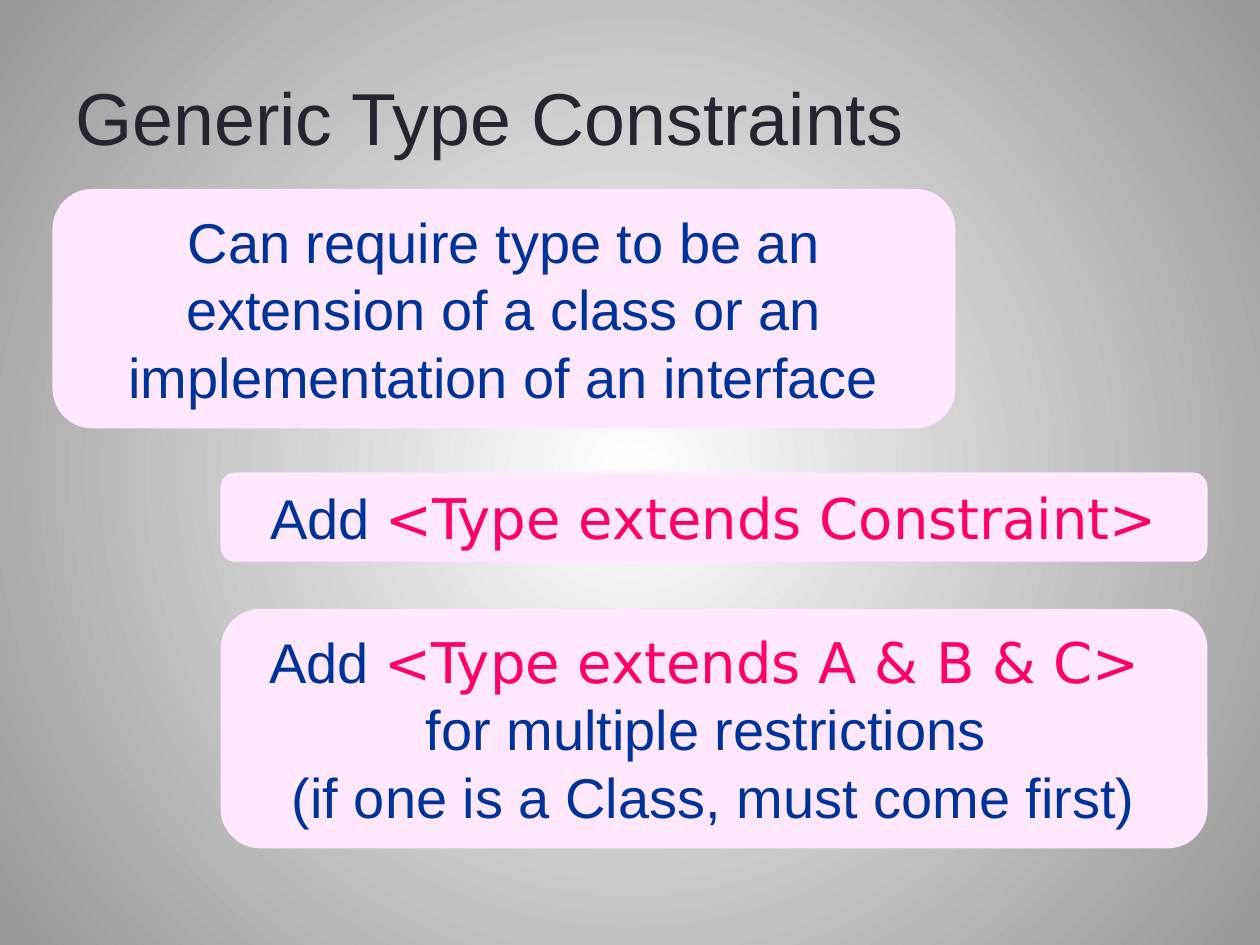
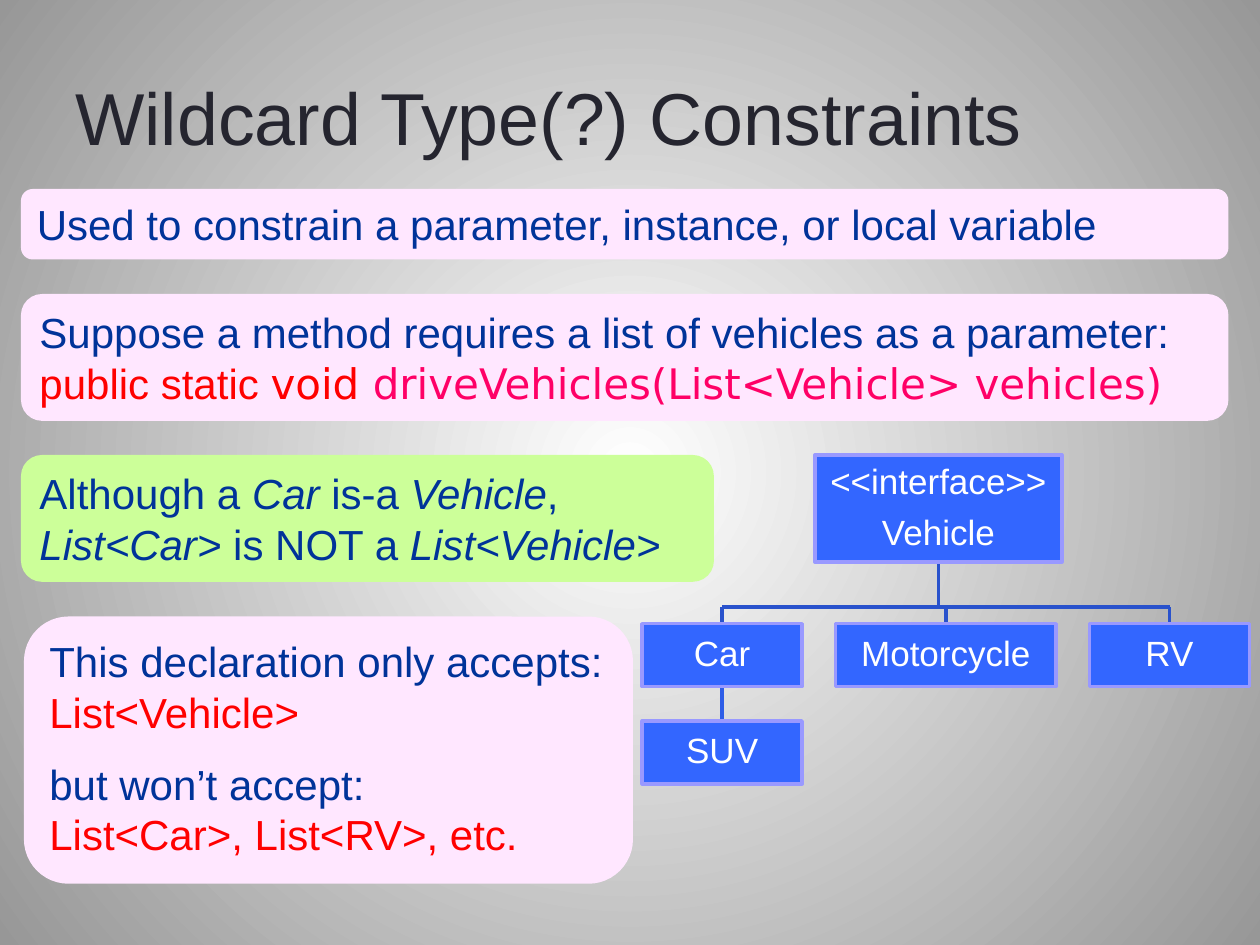
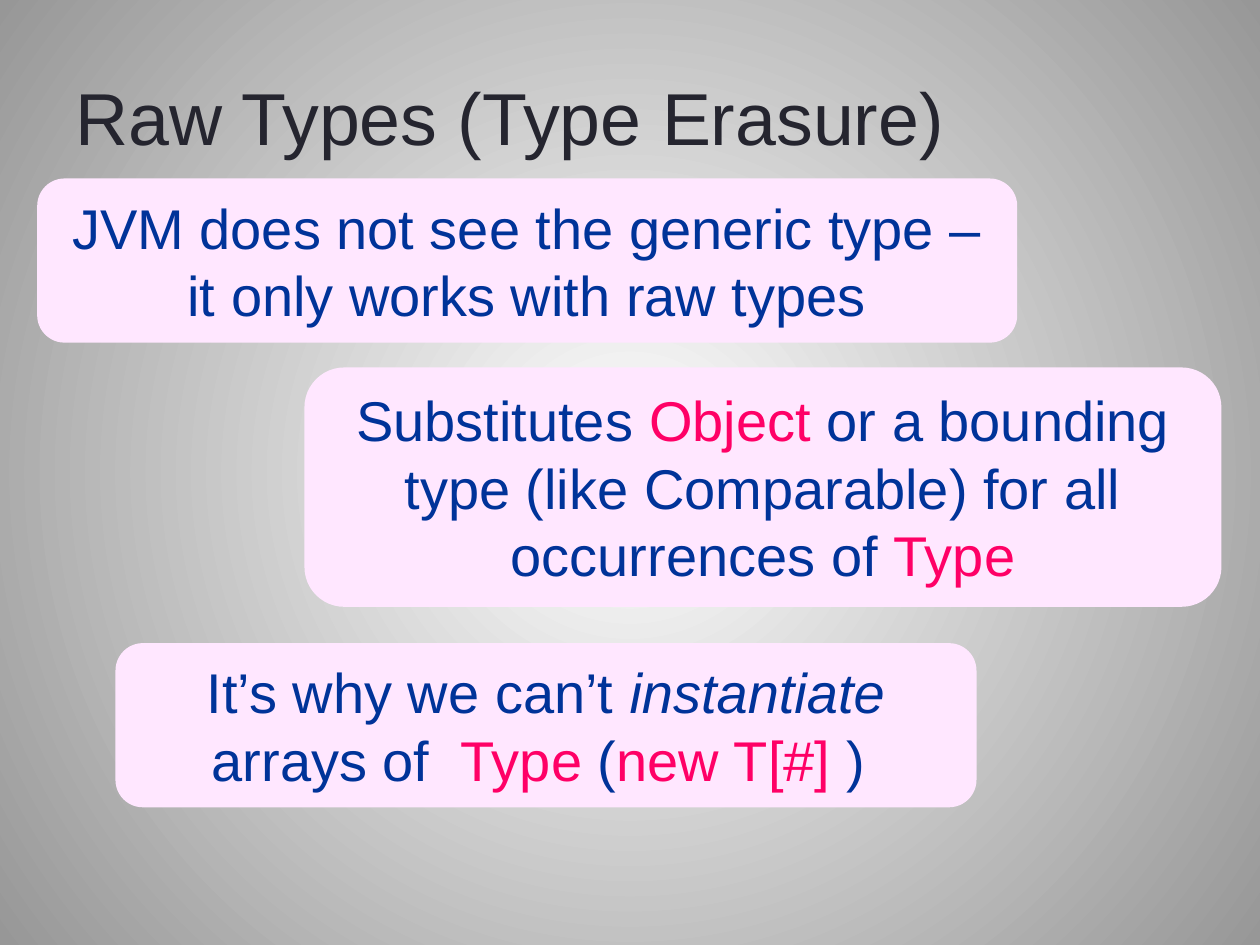
from dataclasses import dataclass
from typing import NamedTuple

from lxml.etree import SubElement
from pptx import Presentation
from pptx.dml.color import RGBColor
from pptx.enum.shapes import MSO_CONNECTOR, MSO_SHAPE
from pptx.enum.text import MSO_ANCHOR, PP_ALIGN
from pptx.oxml.ns import qn
from pptx.util import Pt


@dataclass(frozen=True)
class Theme:
    font: str = "Arial"
    code: str = "DejaVu Sans"
    title: str = "25252F"
    ink: str = "003399"
    pink: str = "FF0066"
    red: str = "FF0000"
    white: str = "FFFFFF"
    edge: str = "979797"
    card: str = "FFE7FF"
    green: str = "CCFF99"
    node: str = "3366FF"
    rim: str = "9999FF"
    link: str = "2952CC"
    stem: str = "2E5DE7"
    head: int = 42
    big: int = 32
    body: int = 24
    label: int = 20
    leading: float = 1.206


T = Theme()


class Box(NamedTuple):
    x: float
    y: float
    w: float
    h: float

    def points(self):
        return [Pt(v) for v in self]


class Bit(NamedTuple):
    text: str
    color: str = T.ink
    font: str = T.font
    italic: bool = False


def rgb(code):
    return RGBColor.from_string(code)


def add_bit(para, bit, size):
    """Add one run; a closing newline becomes a line break."""
    run = para.add_run()
    run.text = bit.text.rstrip("\n")
    font = run.font
    font.size, font.name, font.italic = Pt(size), bit.font, bit.italic
    font.color.rgb = rgb(bit.color)
    if bit.text.endswith("\n"):
        para.add_line_break()


def add_text(shape, paras, size, align, anchor, pads=(7.2, 3.6)):
    """Fill a shape with paragraphs, each a list of bits."""
    frame = shape.text_frame
    frame.word_wrap = True
    frame.vertical_anchor = anchor
    frame.margin_left = frame.margin_right = Pt(pads[0])
    frame.margin_top = frame.margin_bottom = Pt(pads[1])
    for i, bits in enumerate(paras):
        para = frame.add_paragraph() if i else frame.paragraphs[0]
        para.alignment = align
        for bit in bits:
            add_bit(para, bit, size)
    return frame.paragraphs


def add_block(slide, kind, box, fill):
    shape = slide.shapes.add_shape(kind, *box.points())
    shape.shadow.inherit = False
    shape.fill.solid()
    shape.fill.fore_color.rgb = rgb(fill)
    shape.line.fill.background()
    return shape


def add_card(slide, box, paras, size=T.big, align=PP_ALIGN.CENTER, fill=T.card, gap=0):
    shape = add_block(slide, MSO_SHAPE.ROUNDED_RECTANGLE, box, fill)
    lines = add_text(shape, paras, size, align, MSO_ANCHOR.TOP)
    for i, para in enumerate(lines):
        para.line_spacing = Pt(round(size * T.leading, 1))
        para.space_before = Pt(gap if i else 0)


def add_node(slide, box, *names):
    shape = add_block(slide, MSO_SHAPE.RECTANGLE, box, T.node)
    shape.line.color.rgb = rgb(T.rim)
    shape.line.width = Pt(2)
    paras = [[Bit(name, T.white)] for name in names]
    for para in add_text(shape, paras, T.label, PP_ALIGN.CENTER,
                         MSO_ANCHOR.MIDDLE, (0.72, 0.72)):
        para.line_spacing = 0.9
        para.space_after = Pt(8)


def add_link(slide, x1, y1, x2, y2, color=T.link):
    ends = [Pt(v) for v in (x1, y1, x2, y2)]
    line = slide.shapes.add_connector(MSO_CONNECTOR.STRAIGHT, *ends)
    line.line.color.rgb = rgb(color)
    line.line.width = Pt(2)
    SubElement(line._element.spPr, qn("a:effectLst"))


def add_tree(slide, box):
    """Draw the interface, its three classes and one subclass."""
    root = Box(box.x + 98.8, box.y, 141, 61.2)
    row, high, bus = box.y + 96.4, 36, box.y + 87
    names, widths = ("Car", "Motorcycle", "RV"), (91.4, 126, 91.4)
    gap = (box.w - sum(widths)) / 2
    kids, x = [], box.x
    for width in widths:
        kids.append(Box(x, row, width, high))
        x += width + gap
    mids = [kid.x + kid.w / 2 for kid in kids]
    leaf = Box(box.x, box.y + box.h - high, widths[0], high)

    stem = root.x + root.w / 2
    add_link(slide, stem, root.y + root.h, stem, bus)
    add_link(slide, mids[0], bus, mids[-1], bus)
    for mid in mids:
        add_link(slide, mid, bus, mid, row)
    add_link(slide, mids[0], row + high, mids[0], leaf.y, T.stem)

    add_node(slide, root, "<<interface>>", "Vehicle")
    for name, kid in zip(names, kids):
        add_node(slide, kid, name)
    add_node(slide, leaf, "SUV")


def paint_back(master):
    """Give every slide a round gradient, white in the middle."""
    fill = master.background.fill
    fill.gradient()
    for stop, color in zip(fill.gradient_stops, (T.white, T.edge)):
        stop.color.rgb = rgb(color)
    grad = master._element.find(".//" + qn("a:gradFill"))
    grad.remove(grad.find(qn("a:lin")))
    ring = SubElement(grad, qn("a:path"), path="circle")
    SubElement(ring, qn("a:fillToRect"), l="50000", t="50000", r="50000", b="50000")


def add_slide(deck, title):
    slide = deck.slides.add_slide(deck.slide_layouts[6])
    head = slide.shapes.add_textbox(*Box(36, 21.6, 648, 90).points())
    add_text(head, [[Bit(title, T.title)]], T.head, PP_ALIGN.LEFT, MSO_ANCHOR.MIDDLE)
    return slide


def show_generic(deck):
    slide = add_slide(deck, "Generic Type Constraints")
    add_card(slide, Box(30, 108, 516, 136.8), [[Bit(
        "Can require type to be an extension of a class or an "
        "implementation of an interface")]])
    add_card(slide, Box(126, 270, 564, 51), [
        [Bit("Add "), Bit("<Type extends Constraint>", T.pink, T.code)]])
    add_card(slide, Box(126, 348, 564, 136.8), [
        [Bit("Add "), Bit("<Type extends A & B & C> ", T.pink, T.code)],
        [Bit("for multiple restrictions ")],
        [Bit("(if one is a Class, must come first)")]])


def show_wild(deck):
    slide = add_slide(deck, "Wildcard Type(?) Constraints")

    def note(box, paras, **more):
        add_card(slide, box, paras, T.body, PP_ALIGN.LEFT, **more)

    note(Box(12, 108, 690, 40.3), [
        [Bit("Used to constrain a parameter, instance, or local variable")]])
    note(Box(12, 168, 690, 72.5), [[
        Bit("Suppose a method requires a list of vehicles as a parameter:\n"),
        Bit("public static ", T.red),
        Bit("void ", T.red, T.code),
        Bit("driveVehicles(List<Vehicle> vehicles)", T.pink, T.code)]])
    add_tree(slide, Box(367, 260, 347, 188))
    note(Box(13.7, 352.3, 348, 152.7), [
        [Bit("This declaration only accepts: "), Bit("List<Vehicle>", T.red)],
        [Bit("but won’t accept:\n"), Bit("List<Car>, List<RV>, etc.", T.red)]],
        gap=12)
    note(Box(12, 260, 396, 72.5), [
        [Bit("Although a "), Bit("Car", italic=True), Bit(" is-a "),
         Bit("Vehicle", italic=True), Bit(",")],
        [Bit("List<Car> ", italic=True), Bit("is NOT a "),
         Bit("List<Vehicle>", italic=True)]],
        fill=T.green)


def show_raw(deck):
    slide = add_slide(deck, "Raw Types (Type Erasure)")
    add_card(slide, Box(21.3, 102, 560, 93.8), [[Bit(
        "JVM does not see the generic type – it only works with raw types")]])
    add_card(slide, Box(174, 210, 524, 136.8), [[
        Bit("Substitutes "), Bit("Object", T.pink),
        Bit(" or a bounding type (like Comparable) for all occurrences of "),
        Bit("Type", T.pink)]])
    add_card(slide, Box(66, 367.5, 492, 93.8), [[
        Bit("It’s why we can’t "), Bit("instantiate", italic=True),
        Bit(" arrays of  "), Bit("Type", T.pink), Bit(" ("),
        Bit("new T[#] ", T.pink), Bit(") ")]])


def main():
    deck = Presentation()
    deck.slide_width, deck.slide_height = Pt(720), Pt(540)
    paint_back(deck.slide_master)
    for show in (show_generic, show_wild, show_raw):
        show(deck)
    deck.save("out.pptx")


if __name__ == "__main__":
    main()
